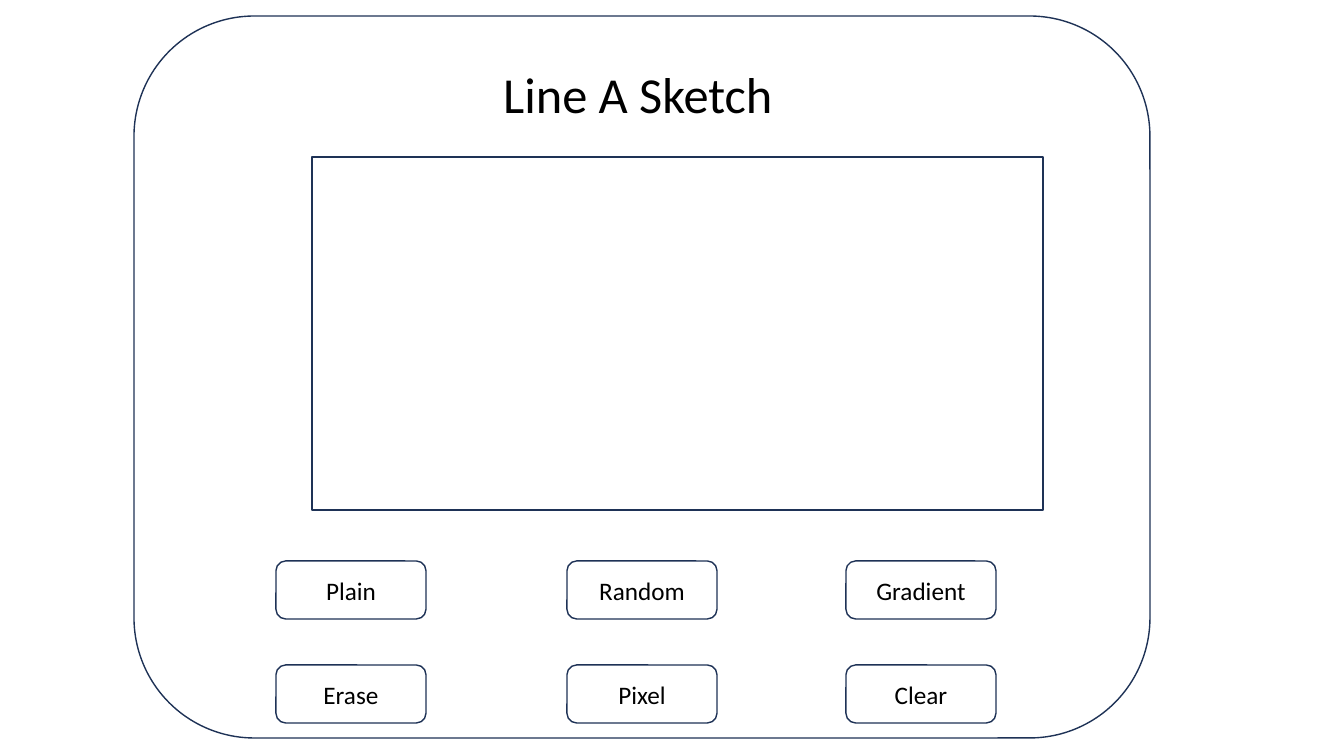
from pptx import Presentation
from pptx.dml.color import RGBColor
from pptx.enum.shapes import MSO_SHAPE
from pptx.enum.text import MSO_ANCHOR, MSO_AUTO_SIZE, PP_ALIGN
from pptx.util import Pt

TITLE = "Line A Sketch"
TITLE_AREA = (493, 58, 297, 72)
PANEL = (134, 16, 1016, 722)
SCREEN = (312, 157, 731, 353)
BUTTONS = [
    ["Plain", "Random", "Gradient"],
    ["Erase", "Pixel", "Clear"],
]
COLUMN_LEFTS = [276, 567, 846]
FIRST_ROW_TOP, ROW_STEP = 561, 104
BUTTON_SIZE = (150, 58)
OUTLINE, INK, FONT = "1E3256", "000000", "Calibri"
SCALE = 914400 / 100.8


def px(length):
    return round(length * SCALE)


def color(value):
    return RGBColor.from_string(value)


def write(box, text, size=18, align=PP_ALIGN.CENTER, anchor=MSO_ANCHOR.MIDDLE):
    frame = box.text_frame
    frame.word_wrap = True
    frame.vertical_anchor = anchor
    para = frame.paragraphs[0]
    para.alignment = align
    span = para.add_run()
    span.text = text
    span.font.name = FONT
    span.font.size = Pt(size)
    span.font.color.rgb = color(INK)


def add_outline(slide, preset, area):
    shape = slide.shapes.add_shape(preset, *map(px, area))
    shape.shadow.inherit = False
    shape.fill.background()
    shape.line.color.rgb = color(OUTLINE)
    shape.line.width = Pt(1)
    return shape


def main():
    deck = Presentation()
    deck.slide_width, deck.slide_height = px(1344), px(756)
    page = deck.slides.add_slide(deck.slide_layouts.get_by_name("Title Only"))

    title = page.shapes.title
    title.left, title.top, title.width, title.height = map(px, TITLE_AREA)
    write(title, TITLE, size=36, align=PP_ALIGN.LEFT, anchor=MSO_ANCHOR.TOP)
    title.text_frame.auto_size = MSO_AUTO_SIZE.SHAPE_TO_FIT_TEXT

    add_outline(page, MSO_SHAPE.ROUNDED_RECTANGLE, PANEL)
    add_outline(page, MSO_SHAPE.RECTANGLE, SCREEN)

    for row, labels in enumerate(BUTTONS):
        top = FIRST_ROW_TOP + row * ROW_STEP
        for left, label in zip(COLUMN_LEFTS, labels):
            button = add_outline(page, MSO_SHAPE.ROUNDED_RECTANGLE, (left, top, *BUTTON_SIZE))
            write(button, label)

    deck.save("out.pptx")


if __name__ == "__main__":
    main()
